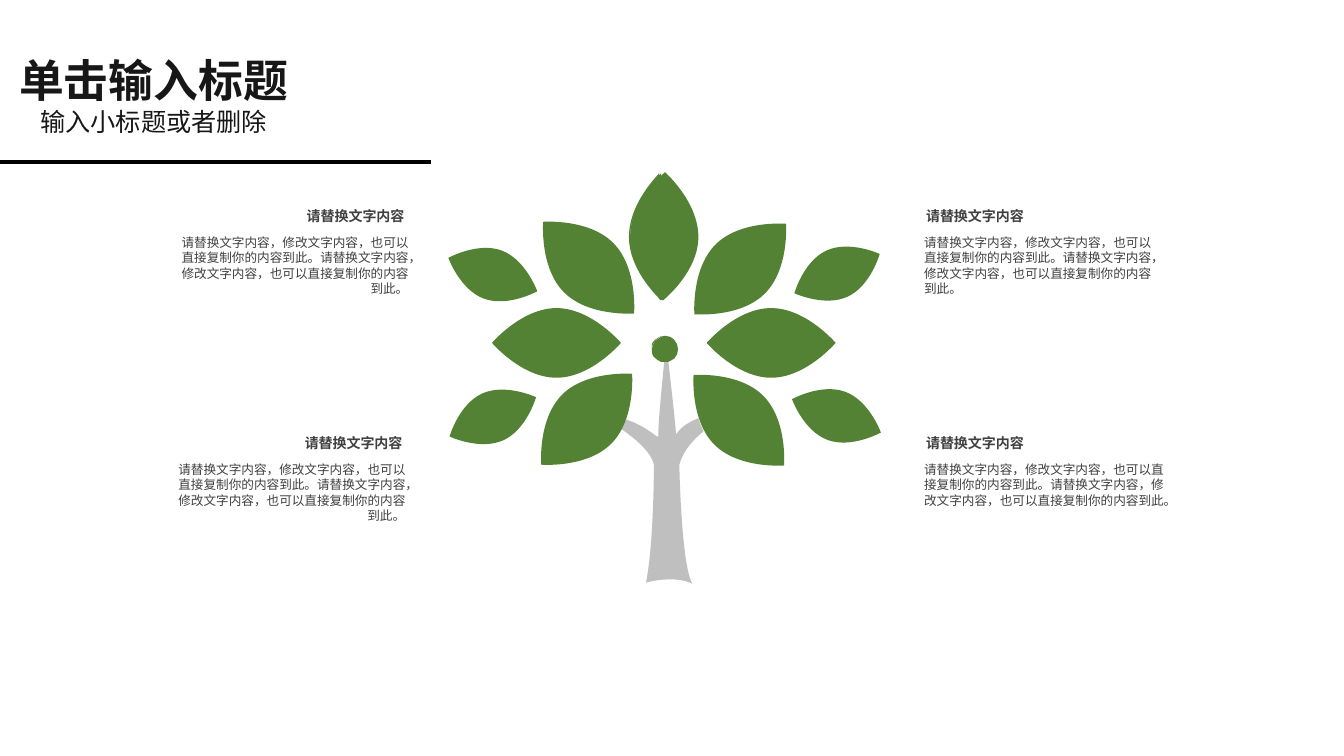
import lxml.etree
import pptx
import pptx.dml.color
import pptx.enum.shapes
import pptx.enum.text
import pptx.oxml.ns
import pptx.util

Cm = pptx.util.Cm
Pt = pptx.util.Pt
qn = pptx.oxml.ns.qn
ALIGN = pptx.enum.text.PP_ALIGN
ANCHOR = pptx.enum.text.MSO_ANCHOR
GREEN, GREY, INK, TEXT = "548235", "BFBFBF", "181717", "404040"
CJK = "Noto Sans CJK SC"
HEADING = "请替换文字内容"
BODY = "请替换文字内容，修改文字内容，也可以直接复制你的内容到此。" * 2
TRUNK = [
    ((17.04, 10.95),),
    ((17.04, 10.95), (16.99, 10.34), (16.84, 9.09)),
    ((16.79, 9.09), (16.76, 9.12), (16.74, 9.12)),
    ((16.69, 9.65), (16.59, 10.59), (16.59, 11)),
    ((16.56, 11.05), (16.31, 10.74), (15.77, 10.57)),
    ((15.75, 10.64), (15.7, 10.72), (15.67, 10.82)),
    ((16, 11.05), (16.41, 11.38), (16.48, 11.71)),
    ((16.48, 11.71), (16.48, 13.72), (16.28, 14.68)),
    ((16.28, 14.68), (16.99, 14.48), (17.45, 14.71)),
    ((17.17, 14.27), (17.12, 11.71), (17.12, 11.71)),
    ((17.22, 11.35), (17.48, 11.07), (17.73, 10.87)),
    ((17.68, 10.77), (17.63, 10.64), (17.6, 10.54)),
    ((17.4, 10.62), (17.17, 10.74), (17.04, 10.95)),
]
TOP_LEAF = [
    ((16.76, 4.34),),
    ((16.76, 4.34), (15.88, 5.08), (15.88, 5.97)),
    ((15.88, 5.97), (15.85, 5.97), (15.85, 5.97)),
    ((15.85, 5.18), (16.48, 4.52), (16.61, 4.37)),
    ((16.61, 7.54),),
    ((16.71, 7.57),),
    ((16.71, 7.57), (17.6, 6.86), (17.6, 5.97)),
    ((17.6, 5.08), (16.76, 4.34), (16.76, 4.34)),
]
TOP_LEAF_LEFT = [
    ((15.88, 5.97),),
    ((15.88, 5.97), (15.85, 5.97), (15.85, 5.97)),
    ((15.85, 6.76), (16.51, 7.42), (16.66, 7.57)),
    ((16.66, 4.37),),
    ((16.51, 4.52), (15.88, 5.18), (15.88, 5.97)),
]
BUD = [
    ((16.99, 9.04),),
    ((17.12, 8.92), (17.12, 8.69), (16.99, 8.56)),
    ((16.86, 8.43), (16.66, 8.43), (16.54, 8.56)),
    ((16.46, 8.64), (16.43, 8.71), (16.43, 8.81)),
    ((16.43, 8.74), (16.41, 8.64), (16.48, 8.59)),
    ((16.54, 8.53), (16.64, 8.48), (16.64, 8.48)),
    ((16.64, 9.12),),
    ((16.71, 9.12),),
    ((16.76, 9.12), (16.81, 9.12), (16.84, 9.12)),
    ((16.89, 9.09), (16.94, 9.07), (16.99, 9.04)),
]
BUD_LEFT = [
    ((16.51, 8.59),),
    ((16.46, 8.64), (16.46, 8.71), (16.43, 8.79)),
    ((16.43, 8.89), (16.43, 8.97), (16.51, 9.02)),
    ((16.56, 9.09), (16.69, 9.12), (16.69, 9.12)),
    ((16.69, 8.48),),
    ((16.69, 8.48), (16.59, 8.53), (16.51, 8.59)),
]
LEAF_TIPS = [
    ((19.96, 10.06), (22.2, 10.9)),
    ((22.17, 6.4), (20.02, 7.39)),
    ((17.48, 9.45), (19.76, 11.73)),
    ((17.5, 7.92), (19.81, 5.64)),
    ((11.3, 6.5), (13.54, 7.34)),
    ((11.33, 11), (13.51, 10.01)),
    ((13.69, 5.59), (15.98, 7.9)),
    ((12.4, 8.64), (15.65, 8.64)),
    ((15.93, 9.42), (13.64, 11.71)),
    ((17.81, 8.64), (21.06, 8.64)),
]
NOTES = [
    (23.09, 23.29, 5.13, 5.94, ALIGN.LEFT),
    (5.64, 4.32, 5.13, 5.97, ALIGN.RIGHT),
    (5.59, 4.24, 10.85, 5.97, ALIGN.RIGHT),
    (23.09, 23.29, 10.85, 6.2, ALIGN.LEFT),
]


def rgb(value):
    return pptx.dml.color.RGBColor.from_string(value)


class TreeSlide:
    """Draws the parts of the tree slide in one style."""

    def __init__(self, s):
        self.s = s

    def outline(self, pieces, color):
        ends = [(Cm(x), Cm(y)) for x, y in (piece[-1] for piece in pieces)]
        builder = self.s.shapes.build_freeform(*ends[0])
        builder.add_line_segments(ends[1:], close=True)
        sp = builder.convert_to_shape()
        for segment, piece in zip(list(sp._element.iter(qn("a:lnTo"))), pieces[1:]):
            if len(piece) == 3:
                segment.tag = qn("a:cubicBezTo")
                segment.remove(segment[0])
                for x, y in piece:
                    pt = lxml.etree.SubElement(segment, qn("a:pt"))
                    pt.set("x", str(Cm(x) - sp.left))
                    pt.set("y", str(Cm(y) - sp.top))
        sp.shadow.inherit = False
        sp.fill.solid()
        sp.fill.fore_color.rgb = rgb(color)
        sp.line.fill.background()

    def leaf(self, a, b, bulge=0.27):
        dx, dy = bulge * (b[0] - a[0]), bulge * (b[1] - a[1])
        cx, cy = (a[0] + b[0]) / 2, (a[1] + b[1]) / 2
        pieces = [(a,)]
        for tip, end, side in ((a, b, 1), (b, a, -1)):
            mx, my = cx + side * dy, cy - side * dx
            pieces.append((tip, (mx - side * dx, my - side * dy), (mx, my)))
            pieces.append(((mx + side * dx, my + side * dy), end, end))
        self.outline(pieces, GREEN)

    def text(self, box, lines, color, font, align, margins=(0.25, 0.13),
             anchor=ANCHOR.TOP, grow=True):
        tf = self.s.shapes.add_textbox(*map(Cm, box)).text_frame
        tf.word_wrap = True
        tf.vertical_anchor = anchor
        tf.margin_left = tf.margin_right = Cm(margins[0])
        tf.margin_top = tf.margin_bottom = Cm(margins[1])
        if grow:
            tf.auto_size = pptx.enum.text.MSO_AUTO_SIZE.SHAPE_TO_FIT_TEXT
        for i, (words, size, leading, bold) in enumerate(lines):
            p = tf.add_paragraph() if i else tf.paragraphs[0]
            p.text = words
            p.alignment = align
            p.line_spacing = Pt(leading)
            p.font.name = font
            p.font.size = Pt(size)
            p.font.bold = bold
            p.font.color.rgb = rgb(color)
            style = p._p.pPr.find(qn("a:defRPr"))
            lxml.etree.SubElement(style, qn("a:ea")).set("typeface", CJK)

    def rule(self, x1, x2, y, width):
        line = self.s.shapes.add_connector(pptx.enum.shapes.MSO_CONNECTOR.STRAIGHT,
                                           Cm(x1), Cm(y), Cm(x2), Cm(y))
        line.line.color.rgb = rgb("000000")
        line.line.width = Pt(width)
        lxml.etree.SubElement(line._element.spPr, qn("a:effectLst"))


def main():
    prs = pptx.Presentation()
    prs.slide_width, prs.slide_height = Cm(33.87), Cm(19.05)
    tree = TreeSlide(prs.slides.add_slide(prs.slide_layouts[6]))
    for heading_x, body_x, top, width, align in NOTES:
        tree.text((heading_x, top, 4.8, 0.61), [(HEADING, 10, 12, True)], TEXT, CJK, align,
                  anchor=ANCHOR.MIDDLE, grow=False)
        tree.text((body_x, top + 0.78, width, 1.8), [(BODY, 9, 11, False)], TEXT, CJK, align,
                  margins=(0, 0))
    tree.outline(TRUNK, GREY)
    for a, b in LEAF_TIPS:
        tree.leaf(a, b)
    for pieces in (TOP_LEAF, TOP_LEAF_LEFT, BUD, BUD_LEFT):
        tree.outline(pieces, GREEN)
    tree.text((0, 1.19, 7.75, 2.39),
              [("单击输入标题", 32, 39, True), ("输入小标题或者删除", 18, 21.5, False)],
              INK, "Arial", ALIGN.CENTER)
    tree.rule(0, 10.87, 4.09, 3)
    prs.save("out.pptx")


if __name__ == "__main__":
    main()
